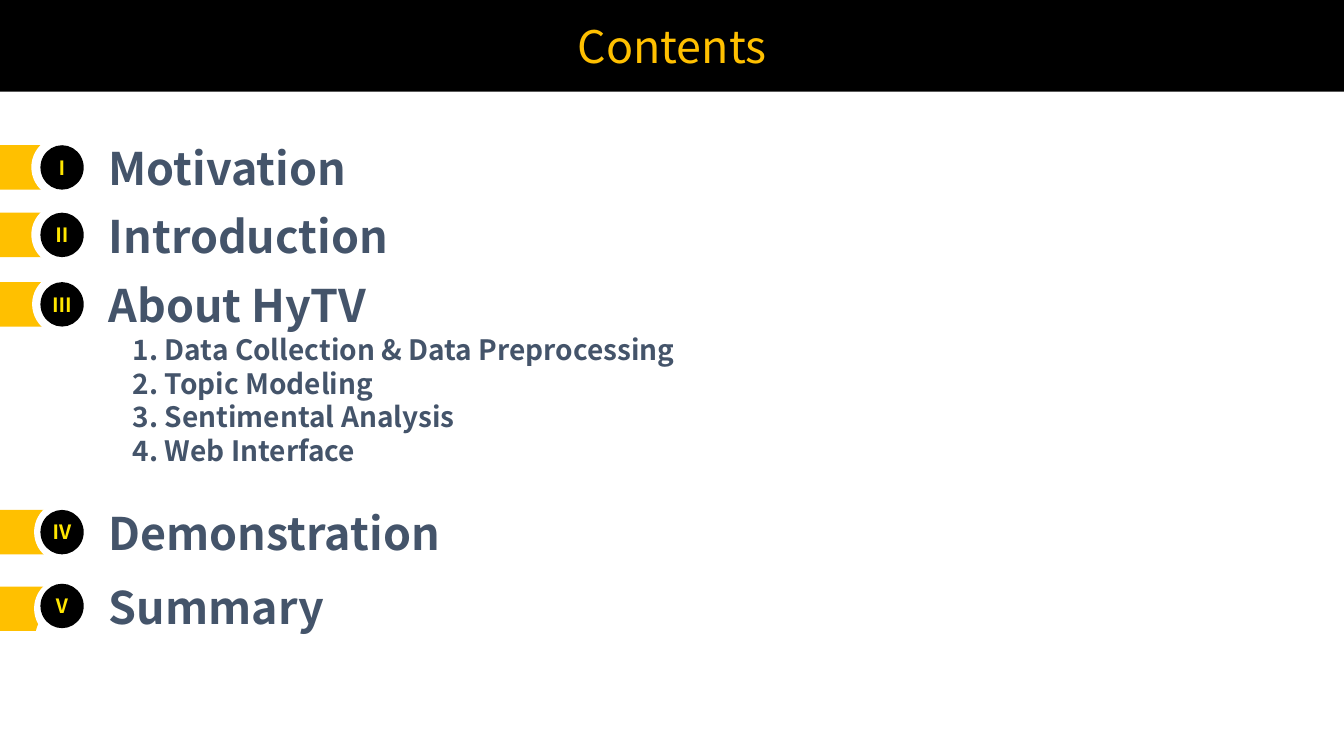
from pptx import Presentation
from pptx.dml.color import RGBColor
from pptx.enum.shapes import MSO_SHAPE as SHAPE
from pptx.enum.text import MSO_ANCHOR as ANCHOR, PP_ALIGN as ALIGN
from pptx.util import Cm, Pt

FONT = "Noto Sans CJK KR"
BLACK, WHITE, AMBER, YELLOW, SLATE = "000000", "FFFFFF", "FFC000", "FFE600", "44546A"
SECTIONS = [
    ("Ⅰ", "Motivation", 3.66, 3.66, 0.79),
    ("Ⅱ", "Introduction", 5.36, 5.36, 0.79),
    ("Ⅲ", "About HyTV", 7.11, 7.11, 0.81),
    ("Ⅳ", "Demonstration", 12.85, 12.85, 0.86),
    ("Ⅴ", "Summary", 14.71, 14.78, 0.86),
]
TOPICS = [
    "1. Data Collection & Data Preprocessing",
    "2. Topic Modeling",
    "3. Sentimental Analysis",
    "4. Web Interface",
]


def rgb(value):
    """Turn a hex string into a colour."""
    return RGBColor.from_string(value)


def add_block(s, kind, x, y, w, h, color):
    """Add a plain filled shape without outline."""
    sp = s.shapes.add_shape(kind, Cm(x), Cm(y), Cm(w), Cm(h))
    sp.shadow.inherit = False
    sp.fill.solid()
    sp.fill.fore_color.rgb = rgb(color)
    sp.line.fill.background()
    return sp


def write(sp, lines, size, color, bold=True, align=ALIGN.LEFT, anchor=ANCHOR.MIDDLE):
    """Fill a shape with lines of text in one style."""
    tf = sp.text_frame
    tf.text = "\n".join(lines)
    tf.vertical_anchor = anchor
    for p in tf.paragraphs:
        p.alignment = align
        for r in p.runs:
            r.font.name = FONT
            r.font.size = Pt(size)
            r.font.bold = bold
            r.font.color.rgb = rgb(color)
    return tf


def add_text(s, x, y, w, h, lines, size, color, **style):
    """Add a wrapping text box."""
    sp = s.shapes.add_textbox(Cm(x), Cm(y), Cm(w), Cm(h))
    tf = write(sp, lines, size, color, **style)
    tf.word_wrap = True
    tf.margin_left = tf.margin_right = Cm(0.2)
    return tf


def add_halo(s, x, y):
    """Add the white disc that cuts into a tab."""
    add_block(s, SHAPE.OVAL, x, y, 1.52, 1.55, WHITE)


def add_badge(s, numeral, y):
    """Add the black disc with its Roman numeral."""
    sp = add_block(s, SHAPE.OVAL, 1.02, y, 1.09, 1.12, BLACK)
    tf = write(sp, [numeral], 14, YELLOW, align=ALIGN.CENTER)
    tf.word_wrap = False


def add_header(s, title):
    """Add the black band with the slide title."""
    add_block(s, SHAPE.RECTANGLE, 0, 0, 33.87, 2.31, BLACK)
    add_text(s, 9.14, 0.33, 15.6, 1.63, [title], 32, AMBER,
             bold=False, align=ALIGN.CENTER)


def add_topics(s):
    """Add the numbered topics under the third section."""
    tf = add_text(s, 3.15, 8.26, 19.51, 3.66, TOPICS, 20, SLATE, anchor=ANCHOR.TOP)
    for p in tf.paragraphs:
        p.line_spacing = Pt(24)


def main():
    """Build the contents slide."""
    prs = Presentation()
    prs.slide_width, prs.slide_height = Cm(33.87), Cm(19.05)
    s = prs.slides.add_slide(prs.slide_layouts[6])
    add_header(s, "Contents")
    for numeral, name, y, tab_y, halo_x in SECTIONS:
        add_block(s, SHAPE.RECTANGLE, 0, tab_y, 1.47, 1.12, AMBER)
        add_halo(s, halo_x, tab_y - 0.22)
        if name == "Summary":
            add_halo(s, 0.89, 15.29)
        add_badge(s, numeral, y)
        add_text(s, 2.54, y - 0.25, 19.51, 1.63, [name], 32, SLATE)
    add_topics(s)
    prs.save("out.pptx")


if __name__ == "__main__":
    main()
